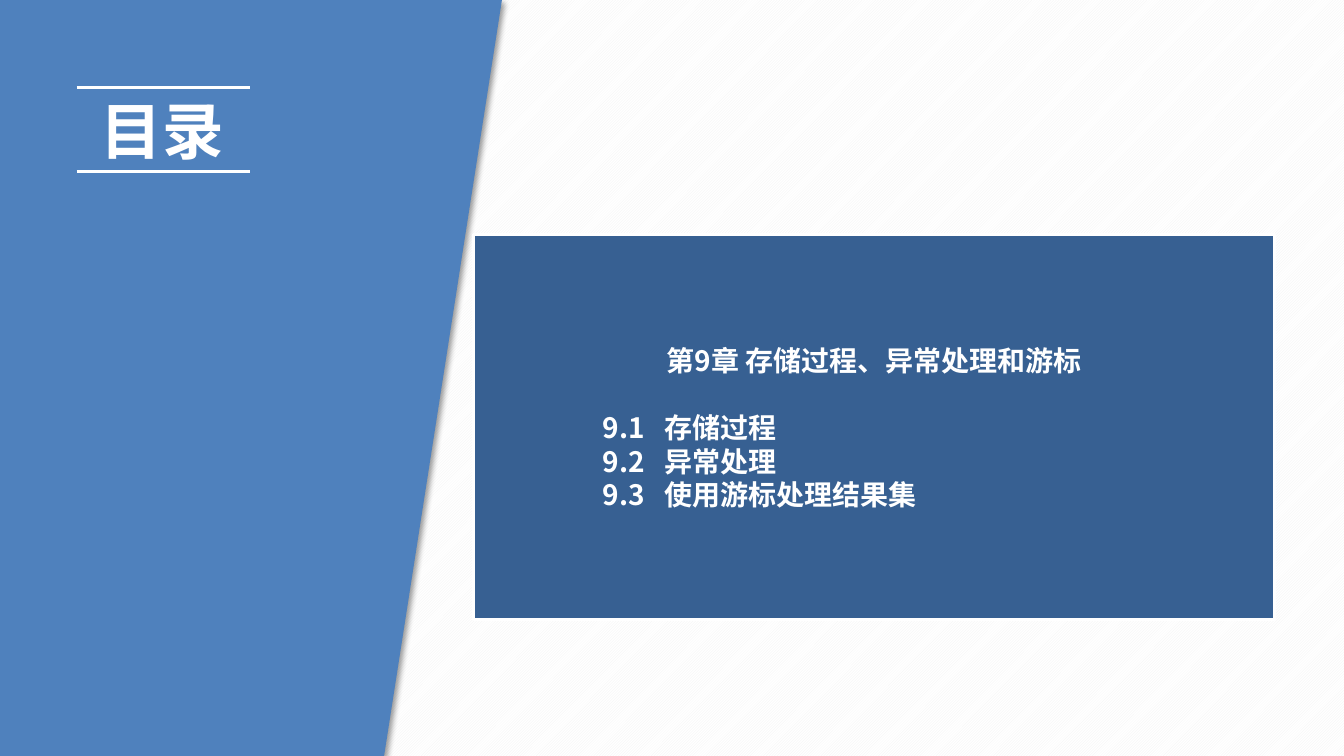
"""Build the contents slide of chapter 9."""
import pptx
import pptx.dml.color
import pptx.enum.dml
import pptx.enum.shapes
import pptx.enum.text
import pptx.oxml
import pptx.oxml.ns
import pptx.util
from lxml import etree
from pptx.util import Cm, Pt

FONT = "Noto Sans CJK SC"
SHADOW = (
    '<a:effectLst xmlns:a="http://schemas.openxmlformats.org/drawingml/2006/main">'
    '<a:outerShdw blurRad="50800" dist="38100" dir="2700000" algn="tl" rotWithShape="0">'
    '<a:srgbClr val="000000"><a:alpha val="40000"/></a:srgbClr>'
    '</a:outerShdw></a:effectLst>'
)


def rgb(value):
    return pptx.dml.color.RGBColor.from_string(value)


def format_runs(p, size):
    for r in p.runs:
        r.font.size = Pt(size)
        r.font.bold = True
        r.font.name = FONT
        r.font.color.rgb = rgb("FFFFFF")
        ea = etree.SubElement(r._r.get_or_add_rPr(), pptx.oxml.ns.qn("a:ea"))
        ea.set("typeface", FONT)


prs = pptx.Presentation()
prs.slide_width, prs.slide_height = Cm(33.87), Cm(19.05)
s = prs.slides.add_slide(prs.slide_layouts[5])

bg = s.background.fill
bg.patterned()
bg.pattern = pptx.enum.dml.MSO_PATTERN.DARK_UPWARD_DIAGONAL
bg.fore_color.rgb = rgb("F2F2F2")
bg.back_color.rgb = rgb("FFFFFF")

fb = s.shapes.build_freeform(0, 0)
fb.add_line_segments([(Cm(12.65), 0), (Cm(9.68), Cm(19.05)), (0, Cm(19.05))])
panel = fb.convert_to_shape()
panel.fill.solid()
panel.fill.fore_color.rgb = rgb("4F81BD")
panel.line.fill.background()
panel.element.spPr.append(pptx.oxml.parse_xml(SHADOW))

title = s.shapes.title
title.element.addprevious(panel.element)
title.left, title.top, title.width, title.height = Cm(2.29), Cm(2.21), Cm(7.04), Cm(2.13)
tf = title.text_frame
tf.text = "目录"
tf.auto_size = pptx.enum.text.MSO_AUTO_SIZE.SHAPE_TO_FIT_TEXT
tf.vertical_anchor = pptx.enum.text.MSO_ANCHOR.TOP
p = tf.paragraphs[0]
p.alignment = pptx.enum.text.PP_ALIGN.LEFT
format_runs(p, 44)

for y in (2.21, 4.32):
    rule = s.shapes.add_connector(
        pptx.enum.shapes.MSO_CONNECTOR.STRAIGHT, Cm(1.93), Cm(y), Cm(6.3), Cm(y))
    rule.line.color.rgb = rgb("FFFFFF")
    rule.line.width = Pt(2)
    etree.SubElement(rule.element.spPr, pptx.oxml.ns.qn("a:effectLst"))

box = s.shapes.add_shape(
    pptx.enum.shapes.MSO_SHAPE.RECTANGLE, Cm(11.94), Cm(5.92), Cm(20.19), Cm(9.7))
box.shadow.inherit = False
box.fill.solid()
box.fill.fore_color.rgb = rgb("376092")
box.line.color.rgb = rgb("FFFFFF")
box.line.width = Pt(2.25)
tf = box.text_frame
tf.vertical_anchor = pptx.enum.text.MSO_ANCHOR.MIDDLE
p = tf.paragraphs[0]
p.text = "第9章 存储过程、异常处理和游标"
p.alignment = pptx.enum.text.PP_ALIGN.CENTER
p.space_after = Pt(24)
format_runs(p, 20)

for number, topic in enumerate(("存储过程", "异常处理", "使用游标处理结果集"), 1):
    p = tf.add_paragraph()
    p.text = f"9.{number}\t{topic}"
    p.alignment = pptx.enum.text.PP_ALIGN.LEFT
    pPr = p._p.get_or_add_pPr()
    pPr.set("marL", str(Cm(4.55)))
    pPr.set("indent", str(-Cm(1.55)))
    format_runs(p, 20)

prs.save("out.pptx")
